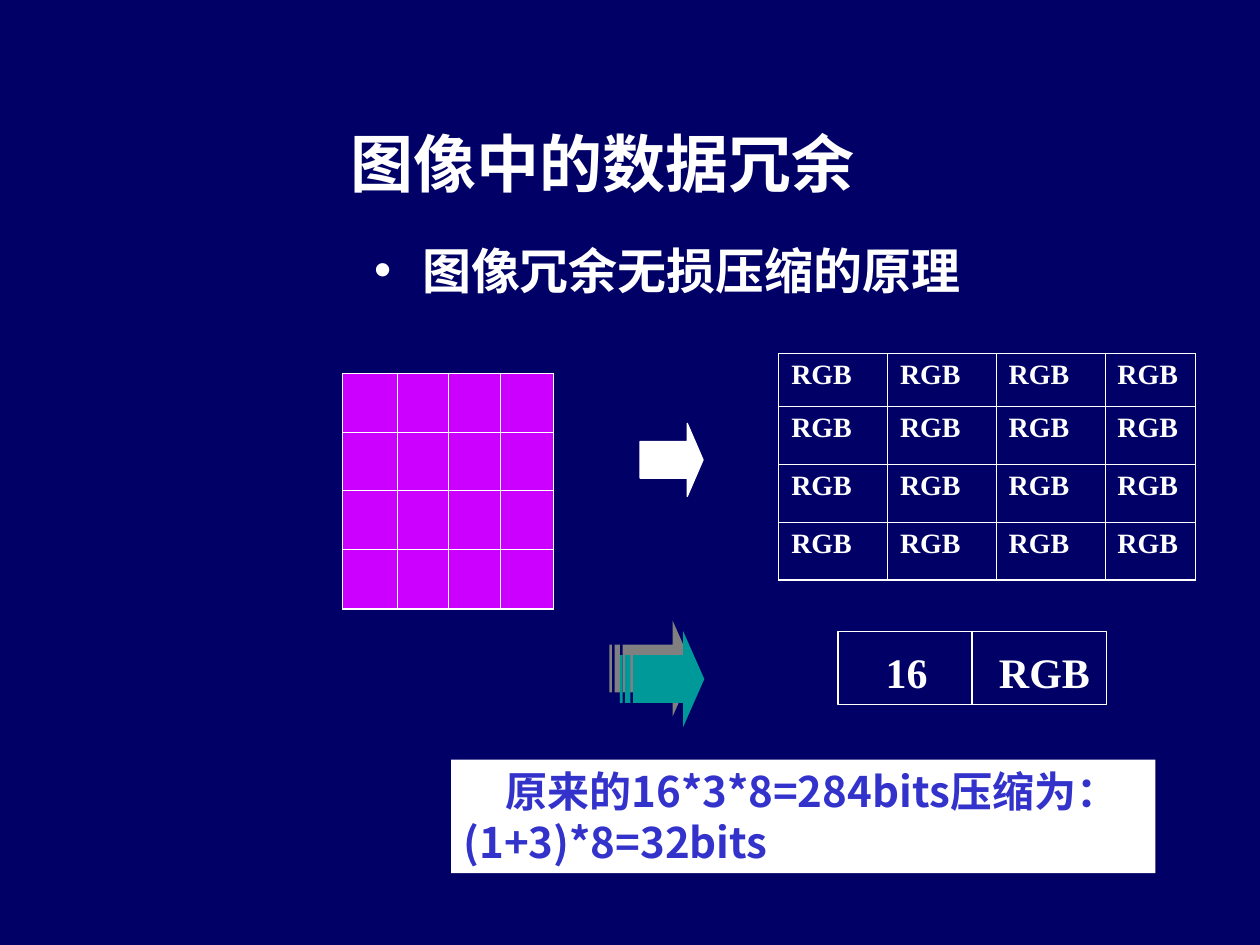
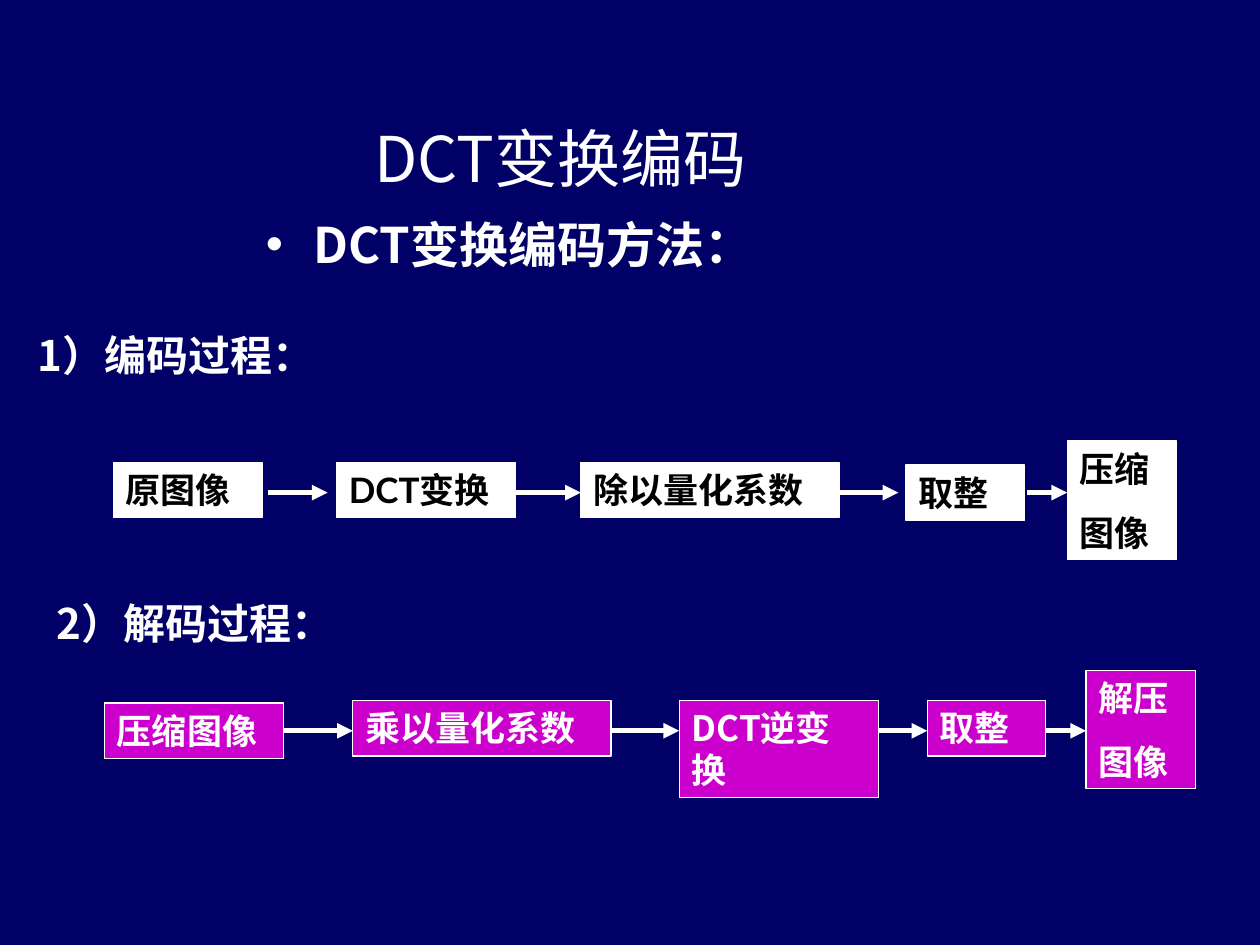
from itertools import pairwise

from lxml import etree
from pptx import Presentation
from pptx.dml.color import RGBColor
from pptx.enum.shapes import MSO_CONNECTOR, MSO_SHAPE as SHAPE
from pptx.enum.text import MSO_ANCHOR as ANCHOR, MSO_AUTO_SIZE as AUTO, PP_ALIGN as ALIGN
from pptx.oxml.ns import qn
from pptx.util import Inches, Pt

COLORS = {
    "navy": "000066", "white": "FFFFFF", "black": "000000", "pixel": "CC00FF",
    "step": "CC00CC", "teal": "009999", "gray": "808080", "result": "3333CC",
}
SANS, STEP_FONT, SERIF = "Noto Sans CJK SC", "Lato", "Times New Roman"
LEADING = 1.2
UNIT = Inches(0.1)  # the slide is a grid of 100 columns by 75 rows


def grid(*lengths):
    return [round(length * UNIT) for length in lengths]


def rgb(name):
    return RGBColor.from_string(COLORS[name])


def child(parent, tag, **attributes):
    return etree.SubElement(parent, qn(tag), attributes)


def add_color(parent, name):
    return child(child(parent, "a:solidFill"), "a:srgbClr", val=COLORS[name])


def write(paragraph, text, size, face=SANS, ink="white", bold=True, leading=LEADING):
    run = paragraph.add_run()
    run.text = text
    font = run.font
    font.size, font.name, font.bold = Pt(size), face, bold
    font.color.rgb = rgb(ink)
    latin = run._r.get_or_add_rPr().find(qn("a:latin"))
    latin.addnext(latin.makeelement(qn("a:ea"), {"typeface": STEP_FONT}))
    if face != SERIF:
        paragraph.line_spacing = Pt(round(size * leading, 1))


def prepare(frame, anchor=ANCHOR.TOP):
    """Give a text frame the margins and wrapping used on both slides."""
    frame.word_wrap, frame.auto_size = True, AUTO.NONE
    frame.vertical_anchor = anchor
    frame.margin_left = frame.margin_right = Inches(0.1)
    frame.margin_top = frame.margin_bottom = Inches(0.05)
    first = frame.paragraphs[0]
    first.alignment = ALIGN.LEFT
    return first


def move(shape, box):
    shape.left, shape.top, shape.width, shape.height = grid(*box)


def add_heading(slide, box, text, bold):
    title = slide.shapes.title
    move(title, box)
    line = prepare(title.text_frame, ANCHOR.MIDDLE)
    line.alignment = ALIGN.CENTER
    write(line, text, 36, bold=bold)


def add_topic(slide, box, text, face, leading=LEADING):
    body = slide.placeholders[1]
    move(body, box)
    line = prepare(body.text_frame)
    line.space_before = Pt(0)
    props = line._p.get_or_add_pPr()
    props.set("marL", str(Inches(0.38)))
    props.set("indent", str(-Inches(0.38)))
    child(child(props, "a:buClr"), "a:srgbClr", val=COLORS["white"])
    child(props, "a:buChar", char="•")
    write(line, text, 28, face, leading=leading)


def add_block(shapes, kind, box, fill=None, line=None):
    block = shapes.add_shape(kind, *grid(*box))
    block.shadow.inherit = False
    if fill:
        block.fill.solid()
        block.fill.fore_color.rgb = rgb(fill)
    else:
        block.fill.background()
    if line:
        block.line.color.rgb = rgb(line)
        block.line.width = Pt(0.75)
    else:
        block.line.fill.background()
    return block


def add_label(shapes, box, text, size, face=SANS, align=ALIGN.LEFT):
    label = shapes.add_textbox(*grid(*box))
    line = prepare(label.text_frame)
    line.alignment = align
    write(line, text, size, face)


def border_cell(cell, bottom):
    props = cell._tc.get_or_add_tcPr()
    sides = {"a:lnL": 0.45, "a:lnR": 0.45, "a:lnT": 0.45, "a:lnB": bottom}
    for place, (tag, width) in enumerate(sides.items()):
        edge = etree.Element(qn(tag), w=str(Pt(width)))
        add_color(edge, "white")
        props.insert(place, edge)


def add_pixel_table(slide, left, top, widths, heights, fill=None, text=""):
    """Draw a bordered table with the same fill and text in every cell."""
    table = slide.shapes.add_table(
        len(heights), len(widths), *grid(left, top, sum(widths), sum(heights))).table
    table.first_row = table.horz_banding = False
    for column, width in zip(table.columns, grid(*widths)):
        column.width = width
    for number, (row, height) in enumerate(zip(table.rows, grid(*heights)), 1):
        row.height = height
        for cell in row.cells:
            if fill:
                cell.fill.solid()
                cell.fill.fore_color.rgb = rgb(fill)
            else:
                cell.fill.background()
            border_cell(cell, 1.08 if number == len(heights) else 0.45)
            paragraph = cell.text_frame.paragraphs[0]
            if text:
                write(paragraph, text, 16, SERIF)
            else:
                paragraph.font.size = Pt(12)


def add_striped_arrow(slide, box):
    arrow = add_block(slide.shapes, SHAPE.STRIPED_RIGHT_ARROW, box, "teal")
    arrow.adjustments[0], arrow.adjustments[1] = 0.5, 0.25
    effects = arrow._element.spPr.find(qn("a:effectLst"))
    shadow = child(effects, "a:outerShdw", blurRad="0", dist=str(Pt(8.5)),
                   dir=str(225 * 60000), algn="ctr", rotWithShape="0")
    child(shadow, "a:srgbClr", val=COLORS["gray"])


def add_run_length(slide, left, top):
    """Draw the pair of cells that holds the count and the colour."""
    pair = slide.shapes.add_group_shape().shapes
    width, height = 10.65, 5.8
    for column in range(2):
        add_block(pair, SHAPE.RECTANGLE,
                  (left + column * width, top, width, height), line="white")
    add_label(pair, (left + 2.4, top + 0.7, 6.1, 5), "16", 24, SERIF, ALIGN.CENTER)
    add_label(pair, (left + 11.8, top + 0.7, 9.9, 5), "RGB", 24, SERIF)


def add_result(slide, box):
    result = add_block(slide.shapes, SHAPE.RECTANGLE, box, "white")
    line = prepare(result.text_frame)
    line._p.get_or_add_pPr().set("indent", str(Pt(24)))
    write(line, "原来的16*3*8=284bits压缩为：(1+3)*8=32bits", 24, ink="result")


def add_arrow(slide, start, end, row):
    arrow = slide.shapes.add_connector(
        MSO_CONNECTOR.STRAIGHT, *grid(start, row, end, row))
    arrow.line.color.rgb = rgb("white")
    arrow.line.width = Pt(3)
    child(arrow.line._get_or_add_ln(), "a:tailEnd", type="triangle")
    child(arrow._element.spPr, "a:effectLst")


def add_flow(slide, top, steps, fill, ink, arrow_row, trims):
    """Draw steps (text, left, drop, width, height), joined by arrows.

    Each trim is the space an arrow leaves after one step and before the next.
    """
    for text, left, drop, width, height in steps:
        step = add_block(slide.shapes, SHAPE.RECTANGLE,
                         (left, top + drop, width, height), fill, "white")
        line = prepare(step.text_frame)
        for number, part in enumerate(text.split("\n")):
            if number:
                line = step.text_frame.add_paragraph()
                line.alignment = ALIGN.LEFT
                line.space_before = Pt(12.5)
            face = SANS if part == "DCT逆变换" else STEP_FONT
            write(line, part, 20, face, ink)
    for (before, after), (lead, trail) in zip(pairwise(steps), trims):
        add_arrow(slide, before[1] + before[3] + lead, after[1] - trail,
                  top + arrow_row)


def build_redundancy(slide):
    add_heading(slide, (11.6, 9.1, 72.5, 7.6), "图像中的数据冗余", True)
    add_topic(slide, (28.7, 18.6, 55.5, 7.1), "图像冗余无损压缩的原理", SERIF)
    add_pixel_table(slide, 27.2, 29.6, [4.3, 4.1, 4.1, 4.2], [4.68] * 4, "pixel")
    add_pixel_table(slide, 61.8, 28.05, [8.63] * 3 + [7.2], [4.2] + [4.6] * 3,
                    text="RGB")
    add_striped_arrow(slide, (49.2, 50.1, 6.7, 7.6))
    add_run_length(slide, 66.5, 50.1)
    arrow = add_block(slide.shapes, SHAPE.RIGHT_ARROW, (50.8, 33.6, 5, 5.8),
                      "white", "white")
    arrow.adjustments[0], arrow.adjustments[1] = 0.5, 0.25
    add_result(slide, (35.8, 60.3, 55.9, 9))


def build_dct(slide):
    add_heading(slide, (19.7, 8.3, 49.6, 8.4), "DCT变换编码", False)
    add_topic(slide, (20.1, 17, 42.5, 5.4), "DCT变换编码方法：", SANS, LEADING * 0.9)
    add_label(slide.shapes, (2, 25.7, 26.8, 5), "1）编码过程：", 24)
    add_label(slide.shapes, (3.5, 46.9, 25.2, 5), "2）解码过程：", 24)
    encoding = [
        ("原图像", 9, 1.7, 11.8, 4.4),
        ("DCT变换", 26.7, 1.7, 14.2, 4.4),
        ("除以量化系数", 46.1, 1.7, 20.5, 4.4),
        ("取整", 71.9, 1.9, 9.4, 4.4),
        ("压缩\n图像", 84.7, 0, 8.7, 9.4),
    ]
    add_flow(slide, 35, encoding, "white", "black", 4.1,
             [(0.5, 0.7), (0, 0), (0, 0.6), (0.2, 0)])
    decoding = [
        ("压缩图像", 8.3, 2.6, 14.2, 4.4),
        ("乘以量化系数", 28, 2.4, 20.5, 4.4),
        ("DCT逆变换", 53.9, 2.4, 15.8, 7.7),
        ("取整", 73.6, 2.4, 9.4, 4.4),
        ("解压\n图像", 86.2, 0, 8.7, 9.4),
    ]
    add_flow(slide, 53.2, decoding, "step", "white", 4.8, [(0, 0)] * 4)


def main():
    deck = Presentation()
    deck.slide_width, deck.slide_height = grid(100, 75)
    backdrop = deck.slide_master.background.fill
    backdrop.solid()
    backdrop.fore_color.rgb = rgb("navy")
    for build in (build_redundancy, build_dct):
        build(deck.slides.add_slide(deck.slide_layouts[1]))
    deck.save("out.pptx")


if __name__ == "__main__":
    main()
